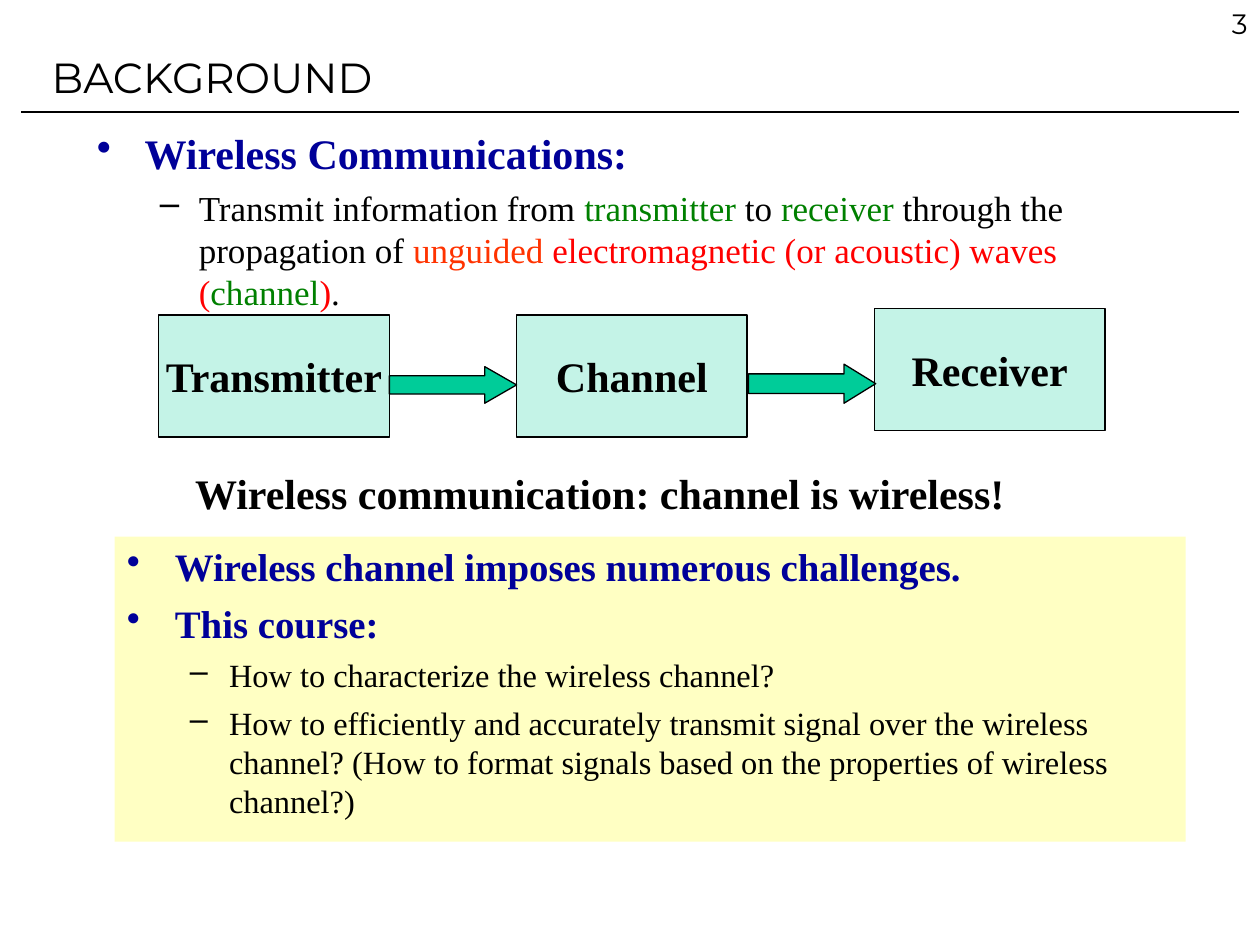
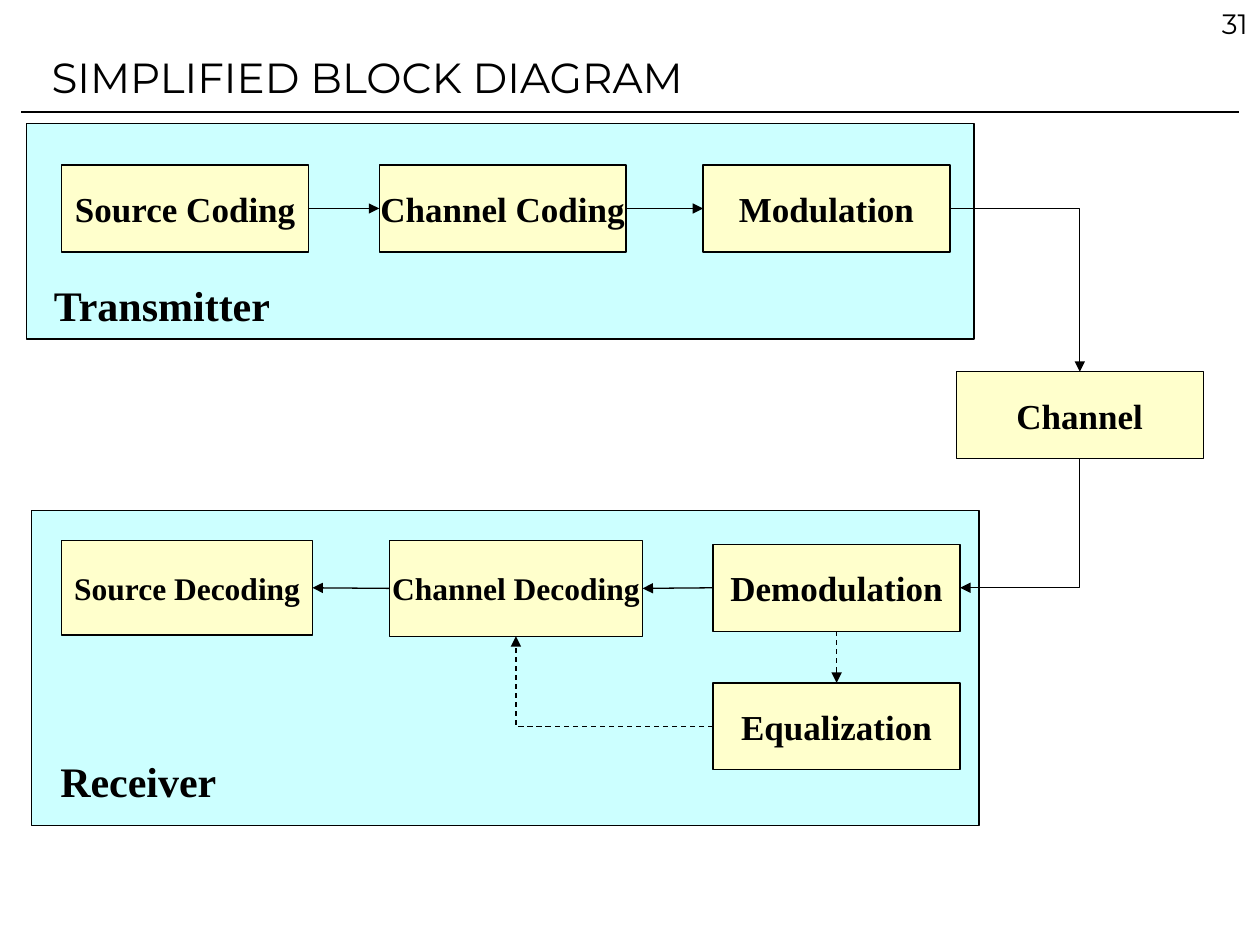
from dataclasses import dataclass

from lxml import etree
from pptx import Presentation
from pptx import util as u
from pptx.dml.color import RGBColor
from pptx.enum import dml, shapes, text
from pptx.oxml.ns import qn


@dataclass(frozen=True)
class Theme:
    heading_font: str = "Montserrat"
    body_font: str = "Times New Roman"
    black: str = "000000"
    navy: str = "000099"
    green: str = "008000"
    orange: str = "FF3300"
    red: str = "FF0000"
    teal: str = "00CC99"
    note: str = "FFFF99"
    panel: str = "CCFFFF"
    block: str = "FFFFCC"
    title_size: float = 24
    number_size: float = 16
    label_size: float = 24
    block_size: float = 20
    small_block_size: float = 18
    definition_sizes: tuple = (24, 20)
    course_sizes: tuple = (22.2, 18.5)
    line_width: float = 0.75


THEME = Theme()
COLUMNS, ROWS = 100, 75
CELL = u.Inches(0.1)
TOP, LEFT, BOTTOM, RIGHT = range(4)
LEVELS = (  # margin, hanging indent (inches), space before, mark, mark colour
    (0.38, -0.38, 6, "•", THEME.navy),
    (0.81, -0.31, 5, "–", THEME.black),
)


def grid(*cells):
    """Turn columns and rows into lengths."""
    return [round(cell * CELL) for cell in cells]


def rgb(colour):
    return RGBColor.from_string(colour)


# Text

def add_run(paragraph, words, size=THEME.label_size, colour=THEME.black,
            bold=False, font=THEME.body_font):
    run = paragraph.add_run()
    run.text = words
    run.font.size = u.Pt(size)
    run.font.bold = bold
    run.font.name = font
    run.font.color.rgb = rgb(colour)


def write(shape, words, align=text.PP_ALIGN.LEFT, anchor=text.MSO_ANCHOR.TOP,
          wrap=True, **run_format):
    frame = shape.text_frame
    frame.word_wrap = wrap
    frame.vertical_anchor = anchor
    paragraph = frame.paragraphs[0]
    paragraph.alignment = align
    add_run(paragraph, words, **run_format)


def add_label(slide, cells, words, **text_format):
    write(slide.shapes.add_textbox(*grid(*cells)), words, **text_format)


def set_bullet(paragraph, level):
    margin, indent, before, mark, colour = LEVELS[level]
    paragraph.level = level
    properties = paragraph._p.get_or_add_pPr()
    properties.set("marL", str(u.Inches(margin)))
    properties.set("indent", str(u.Inches(indent)))
    bullet_colour = etree.SubElement(properties, qn("a:buClr"))
    etree.SubElement(bullet_colour, qn("a:srgbClr"), val=colour)
    etree.SubElement(properties, qn("a:buChar"), char=mark)
    return before


def write_bullets(shape, items, sizes):
    """Each item is a level and its (words, colour) parts."""
    frame = shape.text_frame
    frame.word_wrap = True
    frame.vertical_anchor = text.MSO_ANCHOR.TOP
    for index, (level, parts) in enumerate(items):
        paragraph = frame.add_paragraph() if index else frame.paragraphs[0]
        before = set_bullet(paragraph, level)
        paragraph.alignment = text.PP_ALIGN.LEFT
        if index:
            paragraph.space_before = u.Pt(before)
        for words, colour in parts:
            add_run(paragraph, words, size=sizes[level], colour=colour,
                    bold=level == 0)


# Shapes and lines

def add_figure(slide, cells, fill, kind=shapes.MSO_SHAPE.RECTANGLE,
               opacity=None, outlined=True):
    shape = slide.shapes.add_shape(kind, *grid(*cells))
    shape.shadow.inherit = False
    shape.fill.solid()
    shape.fill.fore_color.rgb = rgb(fill)
    if opacity:
        colour = shape._element.spPr.find(".//" + qn("a:srgbClr"))
        etree.SubElement(colour, qn("a:alpha"), val=str(opacity * 1000))
    if outlined:
        shape.line.color.rgb = rgb(THEME.black)
        shape.line.width = u.Pt(THEME.line_width)
    else:
        shape.line.fill.background()
    return shape


def add_block(slide, cells, words, fill=THEME.block, opacity=None,
              size=THEME.block_size):
    shape = add_figure(slide, cells, fill, opacity=opacity)
    write(shape, words, align=text.PP_ALIGN.CENTER,
          anchor=text.MSO_ANCHOR.MIDDLE, wrap=False, size=size, bold=True)
    return shape


def add_line(slide, ends, arrow=True, dashed=False):
    line = slide.shapes.add_connector(shapes.MSO_CONNECTOR.STRAIGHT, *ends)
    line.line.color.rgb = rgb(THEME.black)
    line.line.width = u.Pt(THEME.line_width)
    if dashed:
        line.line.dash_style = dml.MSO_LINE.DASH
    properties = line._element.spPr
    if arrow:
        etree.SubElement(properties.find(qn("a:ln")), qn("a:tailEnd"),
                         type="triangle")
    etree.SubElement(properties, qn("a:effectLst"))
    return line


def join(slide, source, source_side, target, target_side, dashed=False):
    line = add_line(slide, (0, 0, 0, 0), dashed=dashed)
    line.begin_connect(source, source_side)
    line.end_connect(target, target_side)


def side_middle(shape, side):
    x = {LEFT: 0, RIGHT: shape.width}.get(side, shape.width // 2)
    y = {TOP: 0, BOTTOM: shape.height}.get(side, shape.height // 2)
    return shape.left + x, shape.top + y


def join_elbow(slide, source, source_side, target, target_side, dashed=False):
    """One right-angle bend, turning clockwise from the source side."""
    x1, y1 = side_middle(source, source_side)
    x2, y2 = side_middle(target, target_side)
    turn = {RIGHT: 0, BOTTOM: 90, LEFT: 180}[source_side]
    width, height = abs(x2 - x1), abs(y2 - y1)
    if turn == 90:
        width, height = height, width
    left = (x1 + x2 - width) // 2
    top = (y1 + y2 - height) // 2
    line = add_line(slide, (left, top, left + width, top + height),
                    dashed=dashed)
    properties = line._element.spPr
    properties.find(qn("a:prstGeom")).set("prst", "bentConnector2")
    properties.find(qn("a:xfrm")).set("rot", str(turn * 60000))


# Shared slide frame

def add_titled_slide(presentation, title, number):
    slide = presentation.slides.add_slide(presentation.slide_layouts[5])
    placeholder = slide.shapes.title
    (placeholder.left, placeholder.top,
     placeholder.width, placeholder.height) = grid(3.1, 1.9, 85, 8.3)
    write(placeholder, title, anchor=text.MSO_ANCHOR.MIDDLE,
          size=THEME.title_size, font=THEME.heading_font)
    add_line(slide, grid(1.7, 8.9, COLUMNS - 1.7, 8.9), arrow=False)
    add_label(slide, (COLUMNS - 20.8, 0, 20.8, 5), number,
              align=text.PP_ALIGN.RIGHT, size=THEME.number_size,
              font=THEME.heading_font)
    return slide


# Slides

def build_background(presentation):
    slide = add_titled_slide(presentation, "BACKGROUND", "3")
    black, green, red = THEME.black, THEME.green, THEME.red

    definition = slide.shapes.add_textbox(*grid(6.7, 9.6, 85, 28.9))
    write_bullets(definition, [
        (0, [("Wireless Communications:", THEME.navy)]),
        (1, [("Transmit information from ", black), ("transmitter", green),
             (" to ", black), ("receiver", green),
             (" through the propagation of ", black),
             ("unguided ", THEME.orange),
             ("electromagnetic (or acoustic) waves (", red),
             ("channel", green), (")", red), (".", black)]),
    ], sizes=THEME.definition_sizes)

    # Transmission chain
    stages = (("Transmitter", 25), ("Channel", 25), ("Receiver", 24.5))
    for index, (name, row) in enumerate(stages):
        add_block(slide, (12.6 + 28.4 * index, row, 18.3, 9.7), name,
                  fill=THEME.teal, opacity=23, size=THEME.label_size)
    for column, row, height, head in ((30.9, 29.1, 2.9, 0.87),
                                      (59.4, 28.9, 3.1, 0.81)):
        arrow = add_figure(slide, (column, row, 10.1, height), THEME.teal,
                           kind=shapes.MSO_SHAPE.RIGHT_ARROW)
        arrow.adjustments[1] = head
    add_label(slide, (14.5, 36.6, 72.3, 5),
              "Wireless communication: channel is wireless!", bold=True)

    # Course questions
    course = add_figure(slide, (9.1, 42.6, 85, 24.2), THEME.note,
                        opacity=59, outlined=False)
    write_bullets(course, [
        (0, [("Wireless channel imposes numerous challenges.", THEME.navy)]),
        (0, [("This course:", THEME.navy)]),
        (1, [("How to characterize the wireless channel?", black)]),
        (1, [("How to efficiently and accurately transmit signal over the "
              "wireless channel? (How to format signals based on the "
              "properties of wireless channel?)", black)]),
    ], sizes=THEME.course_sizes)


def build_block_diagram(presentation):
    slide = add_titled_slide(presentation, "SIMPLIFIED BLOCK DIAGRAM", "31")
    add_figure(slide, (2.5, 40.5, 75.2, 25), THEME.panel)
    add_figure(slide, (2.1, 9.8, 75.2, 17.1), THEME.panel)

    # Blocks
    def standard_block(column, row, name):
        return add_block(slide, (column, row, 19.6, 6.9), name)

    source_coding = standard_block(4.9, 13.1, "Source Coding")
    channel_coding = standard_block(30.1, 13.1, "Channel Coding")
    modulation = standard_block(55.8, 13.1, "Modulation")
    channel = standard_block(75.9, 29.5, "Channel")
    demodulation = standard_block(56.6, 43.2, "Demodulation")
    equalization = standard_block(56.6, 54.2, "Equalization")
    channel_decoding = add_block(slide, (30.9, 42.9, 20.1, 7.6),
                                 "Channel Decoding",
                                 size=THEME.small_block_size)
    source_decoding = add_block(slide, (4.9, 42.9, 19.9, 7.5),
                                "Source Decoding",
                                size=THEME.small_block_size)

    # Signal flow
    join(slide, source_coding, RIGHT, channel_coding, LEFT)
    join(slide, channel_coding, RIGHT, modulation, LEFT)
    join_elbow(slide, modulation, RIGHT, channel, TOP)
    join_elbow(slide, channel, BOTTOM, demodulation, RIGHT)
    join(slide, demodulation, LEFT, channel_decoding, RIGHT)
    join(slide, channel_decoding, LEFT, source_decoding, RIGHT)
    join(slide, demodulation, BOTTOM, equalization, TOP, dashed=True)
    join_elbow(slide, equalization, LEFT, channel_decoding, BOTTOM,
               dashed=True)

    # Panel names
    add_label(slide, (3.3, 21.7, 21.9, 5), "Transmitter", bold=True)
    add_label(slide, (3.8, 59.5, 21.9, 5), "Receiver", bold=True)


def main():
    presentation = Presentation()
    presentation.slide_width, presentation.slide_height = grid(COLUMNS, ROWS)
    build_background(presentation)
    build_block_diagram(presentation)
    presentation.save("out.pptx")


if __name__ == "__main__":
    main()
